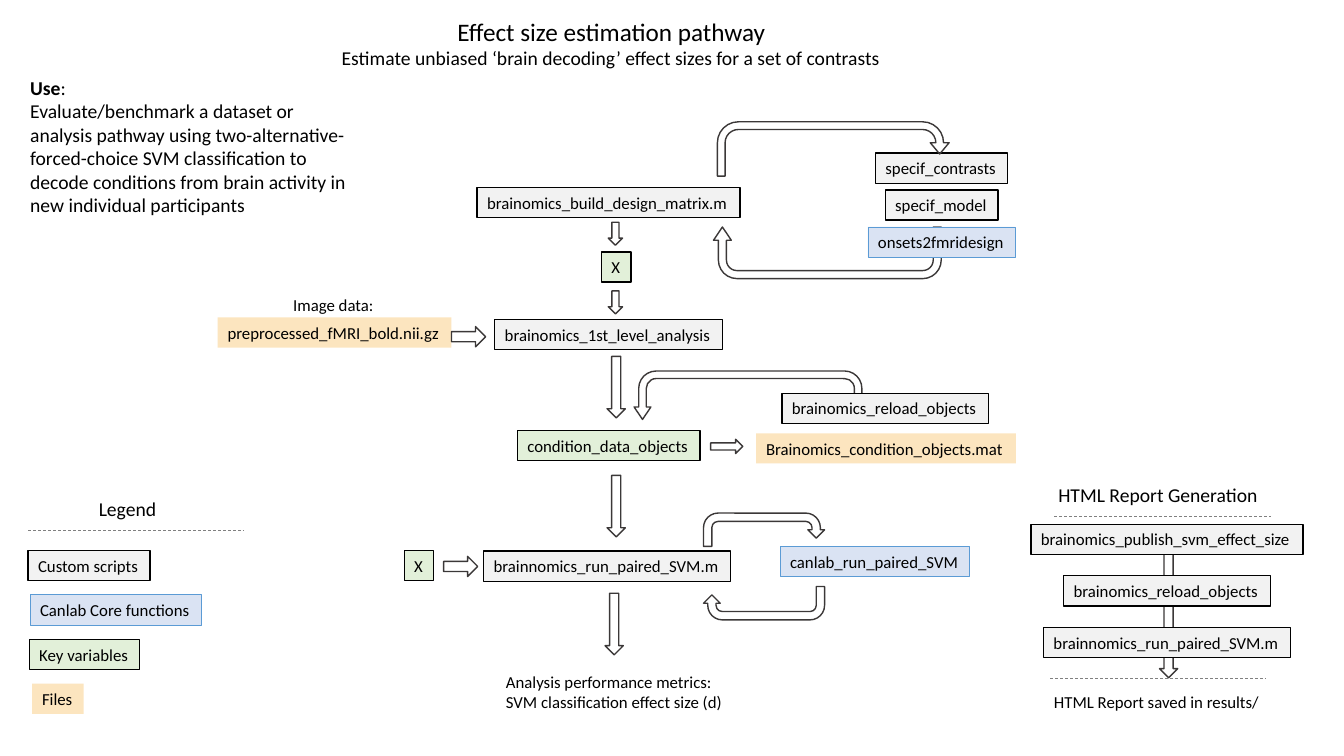
from collections import namedtuple
from dataclasses import dataclass

from lxml import etree
from pptx import Presentation
from pptx.dml.color import RGBColor
from pptx.enum.dml import MSO_LINE
from pptx.enum.shapes import MSO_CONNECTOR, MSO_SHAPE
from pptx.enum.text import MSO_AUTO_SIZE
from pptx.oxml.ns import qn
from pptx.util import Cm, Pt

DASH = MSO_LINE.DASH
STRAIGHT = MSO_CONNECTOR.STRAIGHT
RIGHT, DOWN, UTURN = MSO_SHAPE.RIGHT_ARROW, MSO_SHAPE.DOWN_ARROW, MSO_SHAPE.U_TURN_ARROW
FIT_SHAPE = MSO_AUTO_SIZE.SHAPE_TO_FIT_TEXT

Box = namedtuple("Box", "left top width height")  # centimetres
Kind = namedtuple("Kind", "fill line weight")


@dataclass(frozen=True)
class Theme:
    """Colours, type sizes and line weights of the slide."""
    font: str = "Calibri"
    title: int = 18
    heading: int = 14
    body: int = 12
    text: str = "000000"
    arrow: str = "3B3838"
    rule: str = "808080"
    arrow_weight: float = 1
    rule_weight: float = 0.5
    script: Kind = Kind("F2F2F2", "000000", 1)
    core: Kind = Kind("DAE3F3", "5B9BD5", 0.5)
    variable: Kind = Kind("E2F0D9", "000000", 1)
    file: Kind = Kind("FCE5BF", None, 0)


THEME = Theme()
LABEL_HEIGHT = 0.76
LONG_ARROW = (0.46, 1.55)
SHORT_ARROW = (0.36, 0.58)
INPUT_ARROW = (0.86, 0.51)
WIDE_TURN = (0.156, 0.173, 0.257, 0.359, 1)
TALL_TURN = (0.142, 0.173, 0.208, 0.412, 0.593)


def rgb(code):
    """Turn a hex code into a colour."""
    return RGBColor.from_string(code)


def add_text(page, box, at, lines, size=THEME.body, wrap=False):
    """Write lines at (x, y, width, height) inside the box."""
    x, y, width, height = at
    shape = page.shapes.add_textbox(
        Cm(box.left + x), Cm(box.top + y), Cm(width), Cm(height))
    frame = shape.text_frame
    frame.word_wrap = wrap
    frame.auto_size = FIT_SHAPE
    frame.text = "\n".join(lines)
    for para in frame.paragraphs:
        para.font.name = THEME.font
        para.font.size = Pt(size)
        para.font.color.rgb = rgb(THEME.text)
    return shape


def add_label(page, box, kind, text, centre, y, width):
    """Add a coloured label centred on a given x."""
    at = (centre - width / 2, y, width, LABEL_HEIGHT)
    label = add_text(page, box, at, [text])
    label.fill.solid()
    label.fill.fore_color.rgb = rgb(kind.fill)
    if kind.line:
        label.line.color.rgb = rgb(kind.line)
        label.line.width = Pt(kind.weight)


def add_arrow(page, box, preset, x, y, size, bends=()):
    """Add an outlined block arrow, with its adjustments if any."""
    width, height = size
    arrow = page.shapes.add_shape(
        preset, Cm(box.left + x), Cm(box.top + y), Cm(width), Cm(height))
    arrow.shadow.inherit = False
    arrow.fill.background()
    arrow.line.color.rgb = rgb(THEME.arrow)
    arrow.line.width = Pt(THEME.arrow_weight)
    for index, bend in enumerate(bends):
        arrow.adjustments[index] = bend
    return arrow


def add_down_arrow(page, box, centre, y, size):
    """Add a down arrow centred on a given x."""
    add_arrow(page, box, DOWN, centre - size[0] / 2, y, size)


def add_rule(page, box, start, end, y):
    """Add a dashed horizontal rule."""
    top = Cm(box.top + y)
    rule = page.shapes.add_connector(
        STRAIGHT, Cm(box.left + start), top, Cm(box.left + end), top)
    rule.line.color.rgb = rgb(THEME.rule)
    rule.line.width = Pt(THEME.rule_weight)
    rule.line.dash_style = DASH
    etree.SubElement(rule.line._get_or_add_ln().getparent(), qn("a:effectLst"))


def add_heading(page, box):
    """Write the title and subtitle."""
    add_text(page, box, (2.92, 0, 8.38, 1.02), ["Effect size estimation pathway"], THEME.title)
    add_text(page, box, (0, 0.76, box.width, 0.86),
             ["Estimate unbiased ‘brain decoding’ effect sizes for a set of contrasts"],
             THEME.heading)


def add_use(page, box):
    """Write what the pathway is used for."""
    purpose = ("Evaluate/benchmark a dataset or analysis pathway using "
               "two-alternative-forced-choice SVM classification to decode "
               "conditions from brain activity in new individual participants")
    note = add_text(page, box, (0, 0, box.width, box.height),
                    ["Use", purpose], THEME.heading, wrap=True)
    opening = note.text_frame.paragraphs[0]
    opening.runs[0].font.bold = True
    opening.add_run().text = ":"


def add_design(page, box):
    """Draw the design matrix step and its loop through the model functions."""
    add_label(page, box, THEME.script, "brainomics_build_design_matrix.m", 3.34, 1.72, 6.63)
    add_label(page, box, THEME.variable, "X", 3.53, 3.35, 0.74)
    for y in (2.6, 4.33):
        add_down_arrow(page, box, 3.51, y, SHORT_ARROW)
    back = add_arrow(page, box, UTURN, 5.98, 2.72, (5.74, 1.3), WIDE_TURN)
    back.rotation = 180
    helpers = ((THEME.script, "specif_contrasts", 3.33),
               (THEME.script, "specif_model", 2.84),
               (THEME.core, "onsets2fmridesign", 3.71))
    for row, (kind, name, width) in enumerate(helpers):
        add_label(page, box, kind, name, 11.73, 0.86 + 0.93 * row, width)
    add_arrow(page, box, UTURN, 6.08, 0.07, (5.84, 1.37), TALL_TURN)


def add_analysis(page, box):
    """Draw the first-level analysis, its image input and its data objects."""
    add_text(page, box, (1.74, 0.29, 2.57, LABEL_HEIGHT), ["Image data:"])
    add_label(page, box, THEME.file, "preprocessed_fMRI_bold.nii.gz", 3.03, 1, 5.89)
    add_arrow(page, box, RIGHT, 5.98, 1.23, INPUT_ARROW)
    add_label(page, box, THEME.script, "brainomics_1st_level_analysis", 9.94, 1.05, 5.74)
    add_label(page, box, THEME.variable, "condition_data_objects", 9.94, 3.85, 4.6)
    for y in (1.98, 4.98):
        add_down_arrow(page, box, 10.13, y, LONG_ARROW)
    add_arrow(page, box, RIGHT, 12.51, 4.07, (0.81, 0.36))
    add_label(page, box, THEME.file, "Brainomics_condition_objects.mat", 16.93, 3.92, 6.55)
    reload = add_arrow(page, box, UTURN, 10.58, 2.35, (5.74, 1.22), WIDE_TURN)
    reload.rotation = 180
    reload.element.spPr.find(qn("a:xfrm")).set("flipV", "1")
    add_label(page, box, THEME.script, "brainomics_reload_objects", 16.91, 2.91, 5.21)


def add_classification(page, box):
    """Draw the paired SVM step, its loop and the resulting metrics."""
    add_label(page, box, THEME.variable, "X", 0.56, 1.07, 0.74)
    add_arrow(page, box, RIGHT, 1.18, 1.22, INPUT_ARROW)
    add_label(page, box, THEME.script, "brainnomics_run_paired_SVM.m", 5.3, 1.09, 6.22)
    add_label(page, box, THEME.core, "canlab_run_paired_SVM", 12.05, 0.97, 4.78)
    for y, angle in ((0.13, 0), (1.98, 180)):
        add_arrow(page, box, UTURN, 7.73, y, (3.05, 0.84)).rotation = angle
    add_down_arrow(page, box, 5.48, 2.15, LONG_ARROW)
    add_text(page, box, (2.5, 3.99, 6.05, 1.27),
             ["Analysis performance metrics:", "SVM classification effect size (d)"])


def add_legend(page, box):
    """List the label kinds under a ruled heading."""
    add_text(page, box, (1.53, 0, 1.98, 0.86), ["Legend"], THEME.heading)
    add_rule(page, box, 0, box.width, 0.96)
    entries = ((THEME.script, "Custom scripts", 0, 3.07),
               (THEME.core, "Canlab Core functions", 0.05, 4.32),
               (THEME.variable, "Key variables", 0.03, 2.77),
               (THEME.file, "Files", 0.1, 1.3))
    for row, (kind, name, left, width) in enumerate(entries):
        add_label(page, box, kind, name, left + width / 2, 1.47 + 1.12 * row, width)


def add_report(page, box):
    """Draw the report scripts along one arrow, between two rules."""
    add_text(page, box, (0.44, 0, 5.59, 0.86), ["HTML Report Generation"], THEME.heading)
    add_rule(page, box, 0.59, 6.05, 0.96)
    add_down_arrow(page, box, 3.47, 1.41, (0.46, 3.63))
    scripts = (("brainomics_publish_svm_effect_size", 6.86),
               ("brainomics_reload_objects", 5.21),
               ("brainnomics_run_paired_SVM.m", 6.22))
    for row, (name, width) in enumerate(scripts):
        add_label(page, box, THEME.script, name, 3.43, 1.17 + 1.3 * row, width)
    add_rule(page, box, 0.49, 5.92, 5.05)
    add_text(page, box, (0.33, 5.26, 5.74, LABEL_HEIGHT), ["HTML Report saved in results/"])


deck = Presentation()
deck.slide_width, deck.slide_height = Cm(33.87), Cm(19.05)
page = deck.slides.add_slide(deck.slide_layouts[6])
add_heading(page, Box(8.36, 0.28, 14.33, 1.62))
add_use(page, Box(0.51, 1.78, 8.81, 3.84))
add_design(page, Box(12, 3, 13.6, 5))
add_analysis(page, Box(5.4, 7, 20.3, 6.5))
add_classification(page, Box(10, 12.8, 14.6, 5.4))
add_legend(page, Box(0.71, 12.4, 5.44, 5.6))
add_report(page, Box(25.98, 12.04, 6.86, 6))
deck.save("out.pptx")
